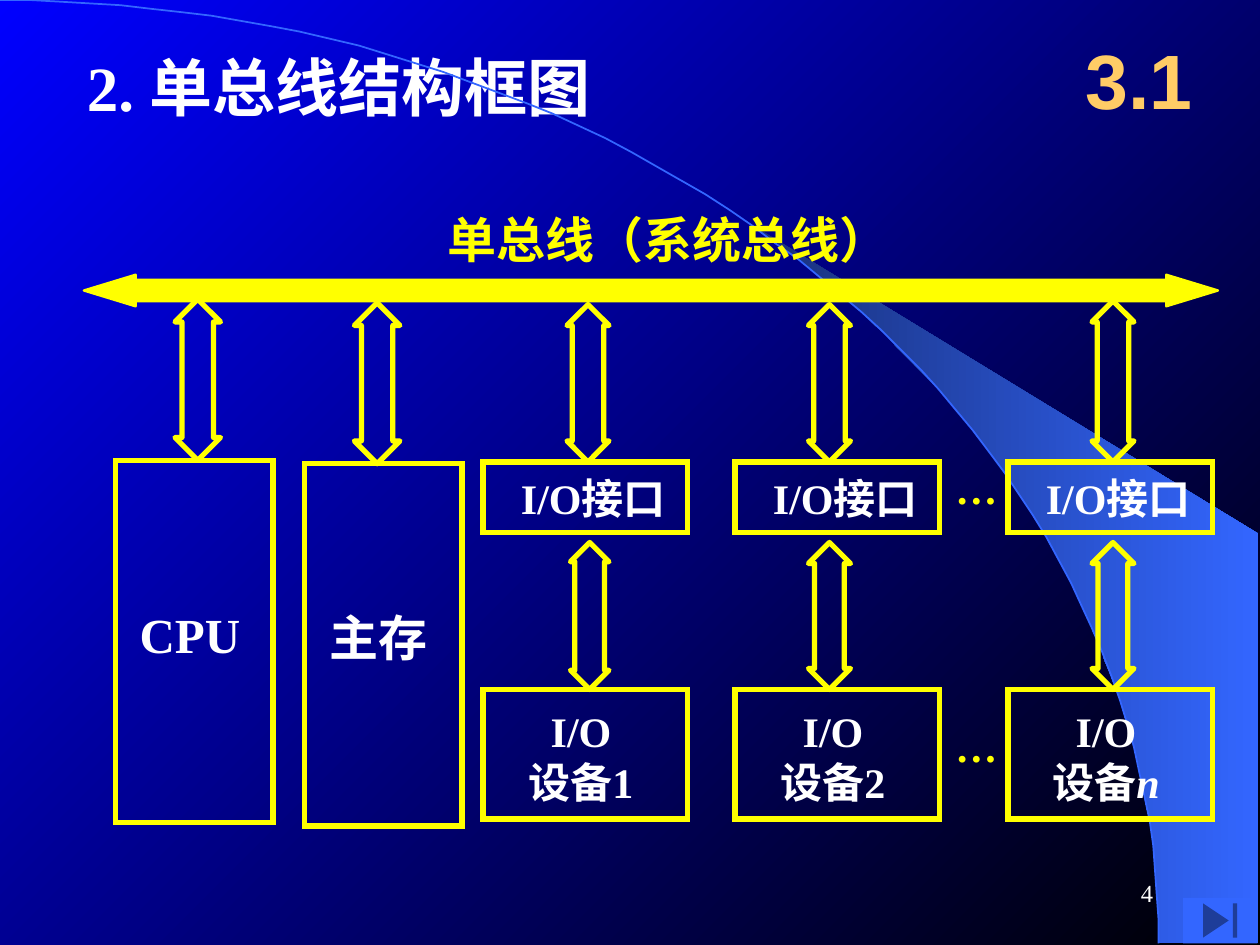
import math
from dataclasses import dataclass

import pptx
import pptx.dml.color
import pptx.enum.shapes
import pptx.enum.text
import pptx.oxml
import pptx.oxml.ns
import pptx.util

Pt = pptx.util.Pt
SHAPE = pptx.enum.shapes.MSO_SHAPE
ALIGN = pptx.enum.text.PP_ALIGN
ANCHOR = pptx.enum.text.MSO_ANCHOR

YELLOW, WHITE, BLUE, ORANGE = "FFFF00", "FFFFFF", "3366FF", "FFCC66"
SERIF, CHINESE = "Times New Roman", "Noto Sans CJK SC"
ARC_WIDTH, ARC_HEIGHT = 662.4, 539.3


@dataclass
class Area:
    left: float
    top: float
    width: float
    height: float

    def lengths(self) -> list:
        return [Pt(value) for value in (self.left, self.top, self.width, self.height)]


@dataclass
class Block:
    area: Area
    text: str
    size: float
    insets: tuple = (0, 0, 0, 0)  # left, top, right, bottom


@dataclass
class Arrow:
    area: Area
    head: float = 18


@dataclass
class Label:
    area: Area
    text: str
    size: float
    color: str
    font: str = SERIF
    bold: bool = True
    align: ALIGN = ALIGN.LEFT
    anchor: ANCHOR = ANCHOR.TOP


def rgb(color: str):
    return pptx.dml.color.RGBColor.from_string(color)


def set_gradient(fill, start: str, end: str, angle: float) -> None:
    fill.gradient()
    fill.gradient_angle = angle
    for stop, color in zip(fill.gradient_stops, (start, end)):
        stop.color.rgb = rgb(color)


def set_insets(frame, insets: tuple) -> None:
    frame.margin_left, frame.margin_top, frame.margin_right, frame.margin_bottom = map(Pt, insets)


def format_text(frame, size: float, color: str, font: str, bold: bool, align) -> None:
    for paragraph in frame.paragraphs:
        paragraph.alignment = align
        for run in paragraph.runs:
            run.font.size, run.font.bold, run.font.name = Pt(size), bold, font
            run.font.color.rgb = rgb(color)
            properties = run.font._element
            east_asian = properties.makeelement(pptx.oxml.ns.qn("a:ea"), {"typeface": CHINESE})
            properties.append(east_asian)


def set_outline(shape, color: str, width: float) -> None:
    shape.shadow.inherit = False
    shape.fill.background()
    shape.line.color.rgb = rgb(color)
    shape.line.width = Pt(width)


def arc_points(start: float, end: float, steps: int = 60) -> list:
    """Points on the quarter ellipse between two angles in degrees."""
    angles = [math.radians(start + (end - start) * step / steps) for step in range(steps + 1)]
    return [(ARC_WIDTH * math.sin(a), ARC_HEIGHT * (1 - math.cos(a))) for a in angles]


def add_outline(slide, points: list, close: bool):
    builder = slide.shapes.build_freeform(*points[0], scale=Pt(1))
    builder.add_line_segments(points[1:], close=close)
    return builder.convert_to_shape()


def add_backdrop(slide) -> None:
    set_gradient(slide.background.fill, "0000FF", "000000", 315)
    band_points = arc_points(39.8, 90) + [(719.3, ARC_HEIGHT), (719.3, 304.6)]
    band = add_outline(slide, band_points, True)
    set_outline(band, BLUE, 1)
    band.line.fill.background()
    set_gradient(band.fill, "182F76", BLUE, 0)
    set_outline(add_outline(slide, arc_points(0, 90), False), BLUE, 1)


def add_block(slide, block: Block):
    shape = slide.shapes.add_shape(SHAPE.RECTANGLE, *block.area.lengths())
    set_outline(shape, YELLOW, 3)
    miter = pptx.oxml.parse_xml(f'<a:miter {pptx.oxml.ns.nsdecls("a")} lim="800000"/>')
    shape.line._get_or_add_ln().append(miter)
    frame = shape.text_frame
    frame.text = block.text
    frame.vertical_anchor = ANCHOR.MIDDLE
    set_insets(frame, block.insets)
    format_text(frame, block.size, WHITE, SERIF, True, ALIGN.CENTER)
    return shape


def add_arrow(slide, arrow: Arrow) -> None:
    shape = slide.shapes.add_shape(SHAPE.UP_DOWN_ARROW, *arrow.area.lengths())
    set_outline(shape, YELLOW, 3)
    shape.adjustments[0] = 0.5
    shape.adjustments[1] = arrow.head / arrow.area.width


def add_bus(slide) -> None:
    shape = slide.shapes.add_shape(SHAPE.LEFT_RIGHT_ARROW, *Area(48, 157, 648, 18).lengths())
    set_outline(shape, YELLOW, 1.39)
    shape.fill.solid()
    shape.fill.fore_color.rgb = rgb(YELLOW)
    shape.adjustments[0] = 0.68
    shape.adjustments[1] = 1.64


def add_label(slide, label: Label) -> None:
    frame = slide.shapes.add_textbox(*label.area.lengths()).text_frame
    frame.text = label.text
    frame.word_wrap = False
    frame.vertical_anchor = label.anchor
    set_insets(frame, (0, 0, 0, 0))
    format_text(frame, label.size, label.color, label.font, label.bold, label.align)


def set_title(slide, text: str) -> None:
    title = slide.shapes.title
    title.left, title.top, title.width, title.height = Area(42.5, 24, 311, 50).lengths()
    frame = title.text_frame
    frame.text = text
    frame.word_wrap = False
    frame.vertical_anchor = ANCHOR.TOP
    set_insets(frame, (7.2, 3.6, 7.2, 3.6))
    format_text(frame, 36, WHITE, SERIF, True, ALIGN.LEFT)


def add_end_button(slide) -> None:
    button = slide.shapes.add_shape(SHAPE.ACTION_BUTTON_END, *Area(676, 513, 42.5, 26).lengths())
    set_outline(button, BLUE, 1)
    button.line.fill.background()
    button.fill.solid()
    button.fill.fore_color.rgb = rgb(BLUE)


UNITS = [
    Block(Area(66, 263, 90, 207), "CPU", 28, (0, 0, 5, 9)),
    Block(Area(174, 265, 90, 207), "主存", 28, (0, 0, 5, 9)),
]
DEVICE_COLUMNS = {"1": 276, "2": 420, "n": 576}
ARROWS = [
    Arrow(Area(100, 171, 26, 92)),
    Arrow(Area(202.5, 173, 26, 92)),
    Arrow(Area(324, 174, 24, 90)),
    Arrow(Area(462, 174, 24, 90)),
    Arrow(Area(624, 172, 24, 92)),
    Arrow(Area(326, 310, 22, 84), 17),
    Arrow(Area(462, 310, 24, 84), 17),
    Arrow(Area(624, 310, 24, 84), 17),
]
LABELS = [
    Label(Area(256, 120, 252, 34), "单总线（系统总线）", 28, YELLOW, CHINESE),
    Label(Area(546, 264, 30, 29), "…", 24, YELLOW),
    Label(Area(546, 412, 30, 29), "…", 24, YELLOW),
    Label(Area(606, 12, 90, 66), "3.1", 44, ORANGE, "Arial", True, ALIGN.CENTER, ANCHOR.MIDDLE),
    Label(Area(516, 492, 143, 36), "4", 14, WHITE, SERIF, False, ALIGN.RIGHT, ANCHOR.MIDDLE),
]


def main() -> None:
    presentation = pptx.Presentation()
    presentation.slide_width, presentation.slide_height = Pt(720), Pt(540)
    slide = presentation.slides.add_slide(presentation.slide_layouts[5])
    add_backdrop(slide)
    set_title(slide, "2. 单总线结构框图")
    add_bus(slide)
    for unit in UNITS:
        add_block(slide, unit)
    for number, left in DEVICE_COLUMNS.items():
        add_block(slide, Block(Area(left, 264, 117, 40.5), "I/O接口", 24, (9, 0, 0, 0)))
        device = Block(Area(left, 394, 117, 74), "I/O\n设备", 24, (0, 2, 5, 0))
        shape = add_block(slide, device)
        paragraph = shape.text_frame.paragraphs[-1]
        run = paragraph.add_run()
        run.text = number
        format_text(shape.text_frame, 24, WHITE, SERIF, True, ALIGN.CENTER)
        run.font.italic = number == "n"
    for arrow in ARROWS:
        add_arrow(slide, arrow)
    for label in LABELS:
        add_label(slide, label)
    add_end_button(slide)
    presentation.save("out.pptx")


if __name__ == "__main__":
    main()
